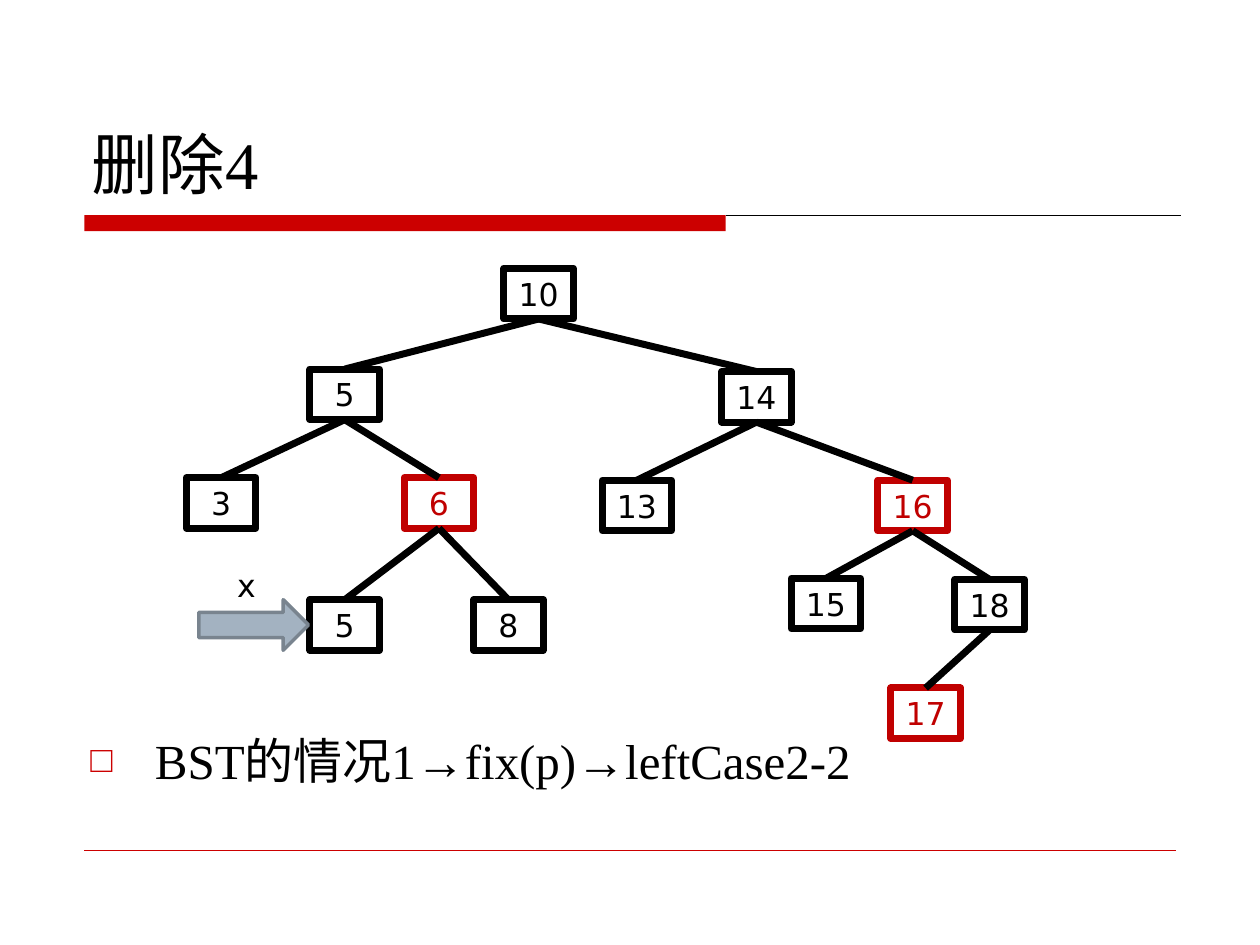
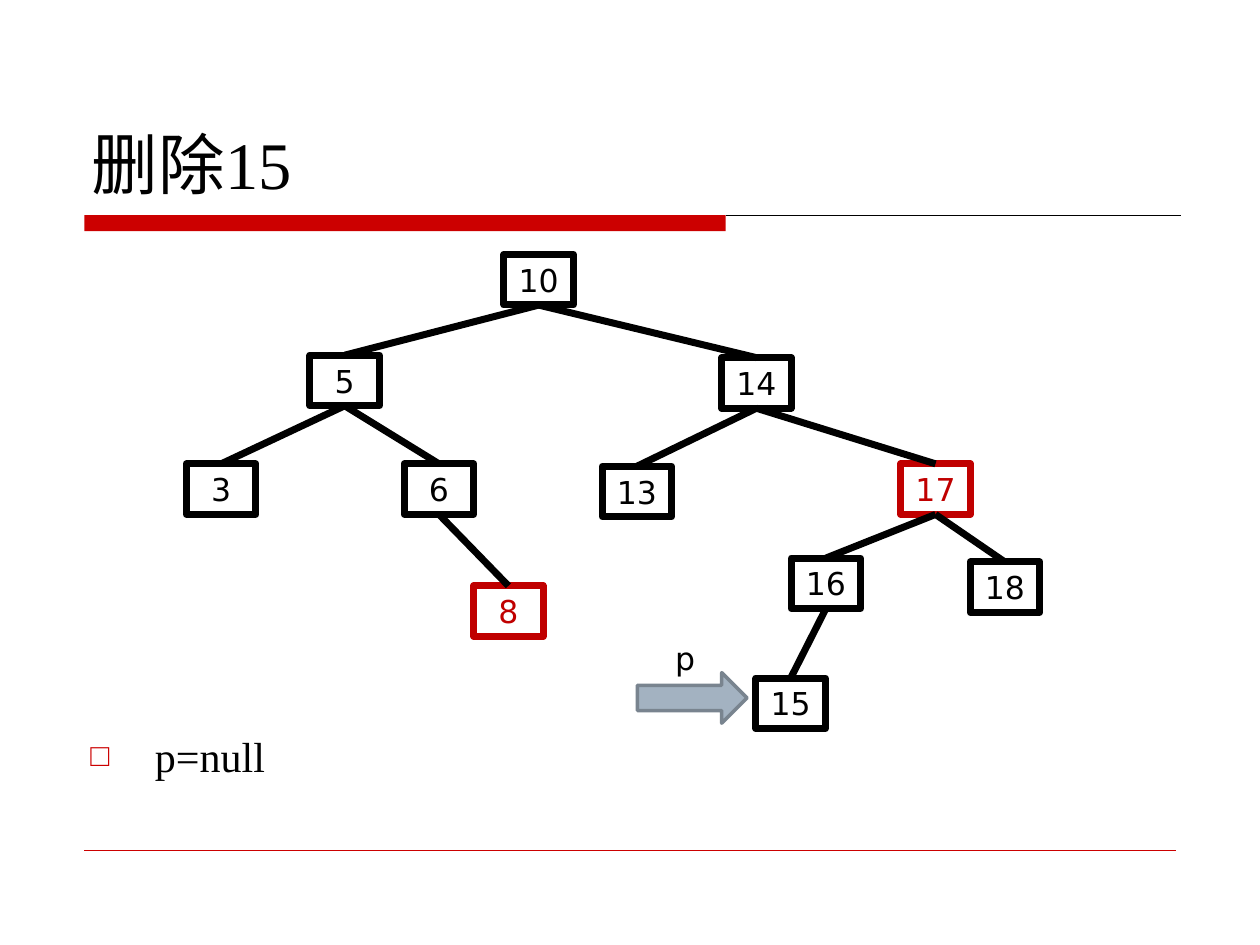
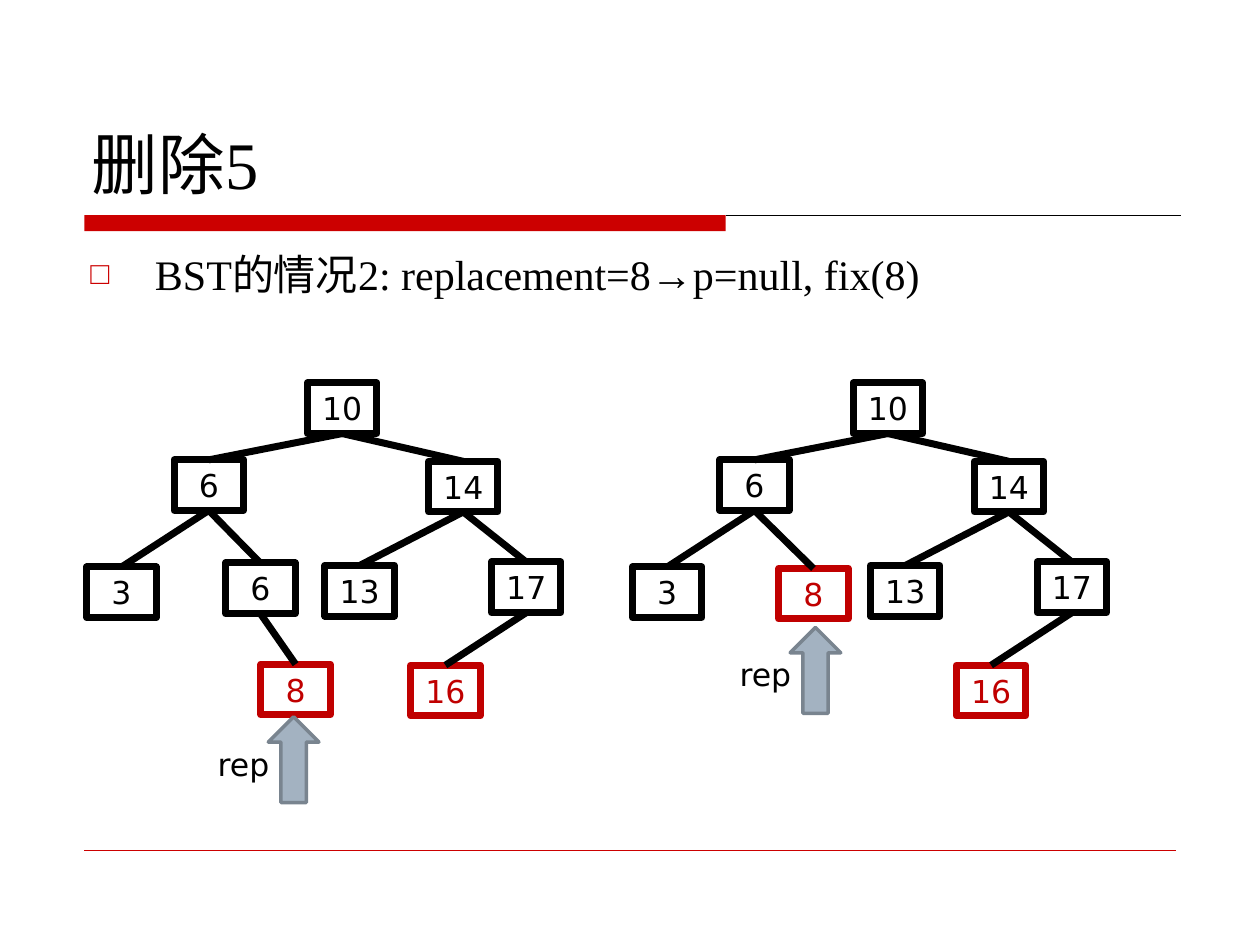
from dataclasses import dataclass

from lxml import etree
from pptx import Presentation
from pptx.dml.color import RGBColor
from pptx.enum.shapes import MSO_CONNECTOR, MSO_SHAPE
from pptx.enum.text import MSO_ANCHOR, MSO_AUTO_SIZE, PP_ALIGN
from pptx.oxml.ns import qn
from pptx.util import Cm, Pt

STRAIGHT = MSO_CONNECTOR.STRAIGHT
RECTANGLE = MSO_SHAPE.RECTANGLE
RIGHT_ARROW = MSO_SHAPE.RIGHT_ARROW
UP_ARROW = MSO_SHAPE.UP_ARROW
BOTTOM = MSO_ANCHOR.BOTTOM
TOP = MSO_ANCHOR.TOP
MIDDLE = MSO_ANCHOR.MIDDLE
FIXED_SIZE = MSO_AUTO_SIZE.NONE
LEFT = PP_ALIGN.LEFT
CENTER = PP_ALIGN.CENTER
TOP_SIDE, BOTTOM_SIDE = 0, 2


@dataclass(frozen=True)
class Theme:
    black: RGBColor = RGBColor(0x00, 0x00, 0x00)
    accent: RGBColor = RGBColor(0xCC, 0x00, 0x00)
    red_node: RGBColor = RGBColor(0xC0, 0x00, 0x00)
    arrow_fill: RGBColor = RGBColor(0xA3, 0xB2, 0xC1)
    arrow_line: RGBColor = RGBColor(0x79, 0x84, 0x8F)
    text_font: str = "Times New Roman"
    node_font: str = "DejaVu Sans"
    title_size: int = 38
    large_body_size: int = 28
    body_size: int = 24
    node_size: int = 18
    tree_line: float = 4


@dataclass(frozen=True)
class Node:
    key: str
    left: float
    top: float
    parent: str = ""

    @property
    def label(self):
        return self.key.split()[0]


class TreeDeck:
    node_width, node_height = 1.4, 1.02

    def __init__(self, theme):
        self.theme = theme
        self.presentation = Presentation()
        self.presentation.slide_width = Cm(25.4)
        self.presentation.slide_height = Cm(19.05)
        self.slide = None

    def add_slide(self, title):
        layout = self.presentation.slide_layouts[1]
        self.slide = self.presentation.slides.add_slide(layout)
        self.bands()
        shape = self.slide.shapes.title
        self.place(shape, 1.6, 0.84, 22.23, 3.38)
        self.set_text(shape, title, self.theme.text_font,
                      self.theme.title_size, self.theme.black, LEFT, BOTTOM)

    def bands(self):
        band = self.slide.shapes.add_shape(
            RECTANGLE, Cm(1.7), Cm(4.34), Cm(12.93), Cm(0.32))
        self.paint(band, self.theme.accent)
        self.line(14.63, 4.34, 23.8, self.theme.black, 0.75)
        self.line(1.7, 17.14, 23.7, self.theme.accent, 0.25)

    def place(self, shape, left, top, width, height):
        shape.left, shape.top = Cm(left), Cm(top)
        shape.width, shape.height = Cm(width), Cm(height)

    def paint(self, shape, fill=None, line=None, line_width=0):
        shape.shadow.inherit = False
        if fill is None:
            shape.fill.background()
        else:
            shape.fill.solid()
            shape.fill.fore_color.rgb = fill
        if line is None:
            shape.line.fill.background()
        else:
            shape.line.color.rgb = line
            shape.line.width = Pt(line_width)

    def set_text(self, shape, text, font, size, color, alignment, anchor):
        frame = shape.text_frame
        frame.text = text
        frame.word_wrap = True
        frame.auto_size = FIXED_SIZE
        frame.vertical_anchor = anchor
        paragraph = frame.paragraphs[0]
        paragraph.alignment = alignment
        paragraph.font.name = font
        paragraph.font.size = Pt(size)
        paragraph.font.color.rgb = color
        return paragraph

    def connector(self, color, width, start=(0, 0), end=(0, 0)):
        connector = self.slide.shapes.add_connector(
            STRAIGHT, *map(Cm, start), *map(Cm, end))
        connector.line.color.rgb = color
        connector.line.width = Pt(width)
        properties = connector._element.spPr
        etree.SubElement(properties, qn("a:effectLst"))
        return connector

    def line(self, left, top, right, color, width):
        self.connector(color, width, (left, top), (right, top))

    def bullet(self, text, size, top):
        shape = self.slide.placeholders[1]
        self.place(shape, 1.57, top, 22.23, 16.74 - top)
        paragraph = self.set_text(shape, text, self.theme.text_font, size,
                                  self.theme.black, LEFT, TOP)
        properties = paragraph._p.get_or_add_pPr()
        properties.set("marL", str(Cm(1.3)))
        properties.set("indent", str(-Cm(1.3)))
        color = etree.Element(qn("a:buClr"))
        etree.SubElement(color, qn("a:srgbClr"), val=str(self.theme.accent))
        marks = [
            color,
            etree.Element(qn("a:buSzPct"), val="75000"),
            etree.Element(qn("a:buFont"), typeface=self.theme.text_font),
            etree.Element(qn("a:buChar"), char="□"),
        ]
        position = properties.index(properties.find(qn("a:defRPr")))
        properties[position:position] = marks

    def node(self, node, color, shift_x, shift_y):
        shape = self.slide.shapes.add_shape(
            RECTANGLE, Cm(node.left + shift_x), Cm(node.top + shift_y),
            Cm(self.node_width), Cm(self.node_height))
        self.paint(shape, line=color, line_width=self.theme.tree_line)
        self.set_text(shape, node.label, self.theme.node_font,
                      self.theme.node_size, color, CENTER, MIDDLE)
        return shape

    def tree(self, nodes, red_keys, shift_x=0, shift_y=0):
        shapes = {}
        for node in nodes:
            color = (self.theme.red_node if node.key in red_keys
                     else self.theme.black)
            shapes[node.key] = self.node(node, color, shift_x, shift_y)
        for node in nodes:
            if node.parent:
                edge = self.connector(self.theme.black, self.theme.tree_line)
                edge.begin_connect(shapes[node.parent], BOTTOM_SIDE)
                edge.end_connect(shapes[node.key], TOP_SIDE)

    def arrow(self, kind, left, top, width, height):
        shape = self.slide.shapes.add_shape(
            kind, Cm(left), Cm(top), Cm(width), Cm(height))
        self.paint(shape, self.theme.arrow_fill, self.theme.arrow_line, 2)

    def label(self, text, left, top, width):
        shape = self.slide.shapes.add_textbox(
            Cm(left), Cm(top), Cm(width), Cm(self.node_height))
        self.set_text(shape, text, self.theme.node_font,
                      self.theme.node_size, self.theme.black, CENTER, TOP)

    def right_pointer(self, text, left, top):
        self.arrow(RIGHT_ARROW, left, top, 2.21, 1.02)
        self.label(text, left + 0.2, top - 0.81, 1.52)

    def up_pointer(self, text, left, top):
        self.arrow(UP_ARROW, left, top, 1.02, 1.73)
        self.label(text, left - 1.48, top + 0.44, 1.96)


WIDE_TREE = [
    Node("10", 10.16, 5.41),
    Node("5", 6.25, 7.44, "10"),
    Node("3", 3.76, 9.63, "5"),
    Node("6", 8.15, 9.63, "5"),
    Node("8", 9.55, 12.09, "6"),
    Node("14", 14.55, 7.49, "10"),
    Node("13", 12.14, 9.68, "14"),
]
AFTER_DELETING_4 = WIDE_TREE + [
    Node("5 leaf", 6.25, 12.09, "6"),
    Node("16", 17.7, 9.68, "14"),
    Node("15", 15.95, 11.66, "16"),
    Node("18", 19.25, 11.68, "16"),
    Node("17", 17.96, 13.87, "18"),
]
BEFORE_DELETING_15 = WIDE_TREE + [
    Node("17", 18.16, 9.63, "14"),
    Node("16", 15.95, 11.53, "17"),
    Node("18", 19.56, 11.61, "17"),
    Node("15", 15.24, 13.95, "16"),
]
NARROW_TREE = [
    Node("10", 6.2, 7.72),
    Node("6", 3.51, 9.27, "10"),
    Node("3", 1.75, 11.43, "6"),
    Node("14", 8.64, 9.3, "10"),
    Node("13", 6.55, 11.4, "14"),
    Node("17", 9.91, 11.33, "14"),
    Node("16", 8.28, 13.41, "17"),
]
BEFORE_REPLACING = NARROW_TREE + [
    Node("6 child", 4.55, 11.35, "6"),
    Node("8", 5.26, 13.39, "6 child"),
]
AFTER_REPLACING = NARROW_TREE + [Node("8", 4.7, 11.46, "6")]


def main():
    theme = Theme()
    deck = TreeDeck(theme)

    deck.add_slide("删除4")
    deck.bullet("BST的情况1→fix(p)→leftCase2-2", theme.large_body_size, 14.6)
    deck.tree(AFTER_DELETING_4, {"6", "16", "17"})
    deck.right_pointer("x", 4.01, 12.09)

    deck.add_slide("删除15")
    deck.bullet("p=null", theme.body_size, 14.6)
    deck.tree(BEFORE_DELETING_15, {"8", "17"}, shift_y=-0.28)
    deck.right_pointer("p", 12.85, 13.56)

    deck.add_slide("删除5")
    deck.bullet("BST的情况2: replacement=8→p=null, fix(8)",
                theme.body_size, 4.88)
    deck.tree(BEFORE_REPLACING, {"8", "16"})
    deck.up_pointer("rep", 5.41, 14.45)
    deck.tree(AFTER_REPLACING, {"8", "16"}, shift_x=11)
    deck.up_pointer("rep", 15.93, 12.65)

    deck.presentation.save("out.pptx")


if __name__ == "__main__":
    main()
